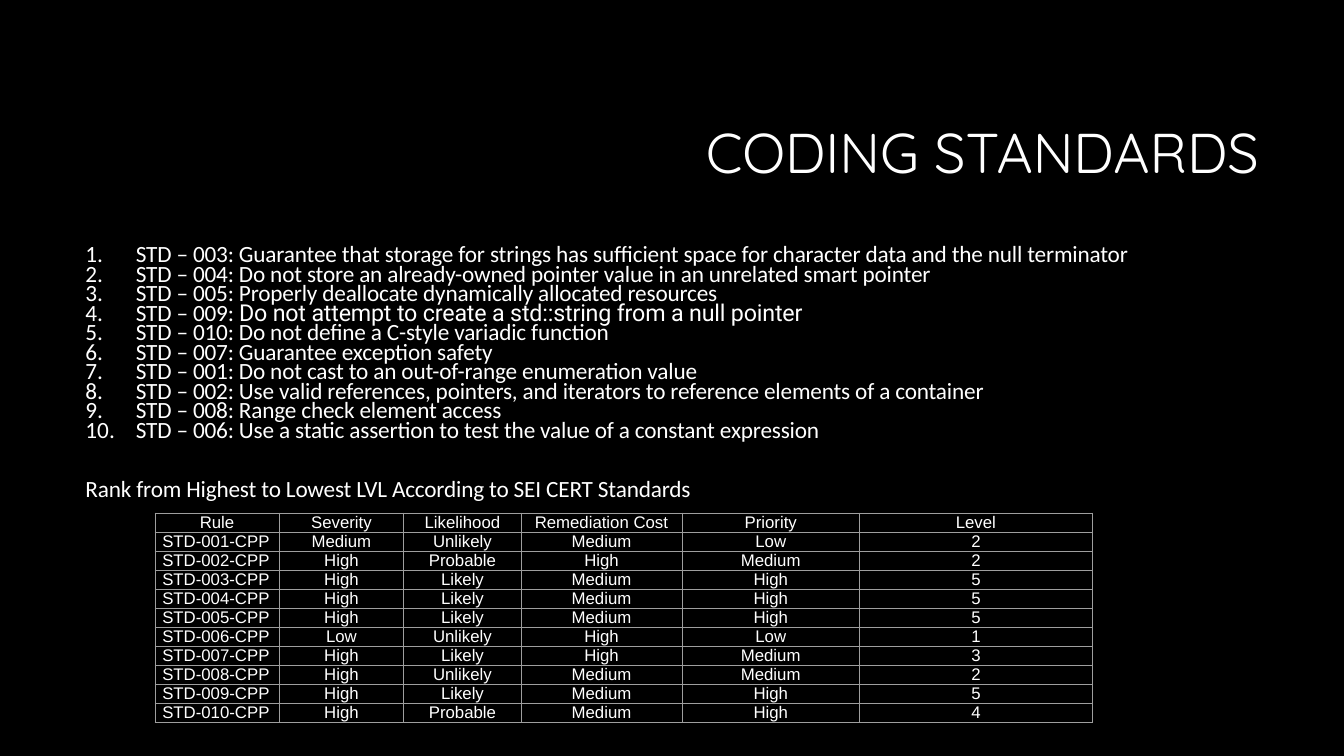
"""Build the coding standards slide: ranked rules above a table of their ratings."""
import dataclasses

import lxml.etree
import pptx
import pptx.dml.color
import pptx.enum.text
import pptx.oxml.ns
import pptx.util

Cm = pptx.util.Cm
Align = pptx.enum.text.PP_ALIGN
qn = pptx.oxml.ns.qn


@dataclasses.dataclass(frozen=True)
class Theme:
    background: str = "000000"
    text: str = "FFFFFF"
    border: str = "9E9E9E"
    title_size: float = 40
    rule_size: float = 16.6
    table_size: float = 12
    title_font: str = "Quicksand"
    rule_font: str = "Calibri"
    accent_font: str = "Roboto"
    table_font: str = "Arial"


theme = Theme()


def write(paragraph, text, *, font, size, align=Align.LEFT, line=1.0, before=0, tracking=0):
    paragraph.alignment = align
    paragraph.line_spacing = line
    paragraph.space_before = pptx.util.Pt(before)
    run = paragraph.add_run()
    run.text = text
    run.font.name = font
    run.font.size = pptx.util.Pt(size)
    run.font.bold = False
    run.font.color.rgb = pptx.dml.color.RGBColor.from_string(theme.text)
    run._r.get_or_add_rPr().set("spc", str(tracking))


def add_color(parent, tag, color):
    holder = lxml.etree.SubElement(parent, qn(tag))
    lxml.etree.SubElement(holder, qn("a:srgbClr")).set("val", color)


deck = pptx.Presentation()
deck.slide_width, deck.slide_height = Cm(33.87), Cm(19.05)
slide = deck.slides.add_slide(deck.slide_layouts[1])
slide.background.fill.solid()
slide.background.fill.fore_color.rgb = pptx.dml.color.RGBColor.from_string(theme.background)

heading, ranking = slide.placeholders
heading.left, heading.top, heading.width, heading.height = Cm(8.05), Cm(2.13), Cm(23.93), Cm(3.58)
ranking.left, ranking.top, ranking.width, ranking.height = Cm(1.9), Cm(6.1), Cm(30.05), Cm(6.83)
for placeholder, anchor in (
    (heading, pptx.enum.text.MSO_ANCHOR.MIDDLE),
    (ranking, pptx.enum.text.MSO_ANCHOR.TOP),
):
    placeholder.text_frame.vertical_anchor = anchor
    placeholder.text_frame.auto_size = pptx.enum.text.MSO_AUTO_SIZE.NONE
    placeholder.text_frame.word_wrap = True

write(heading.text_frame.paragraphs[0], "CODING STANDARDS", font=theme.title_font,
      size=theme.title_size, align=Align.RIGHT, line=0.9)

ranked_rules = [
    ("003", "Guarantee that storage for strings has sufficient space for character data and the null terminator"),
    ("004", "Do not store an already-owned pointer value in an unrelated smart pointer"),
    ("005", "Properly deallocate dynamically allocated resources"),
    ("009", "Do not attempt to create a std::string from a null pointer"),
    ("010", "Do not define a C-style variadic function"),
    ("007", "Guarantee exception safety"),
    ("001", "Do not cast to an out-of-range enumeration value"),
    ("002", "Use valid references, pointers, and iterators to reference elements of a container"),
    ("008", "Range check element access"),
    ("006", "Use a static assertion to test the value of a constant expression"),
]
rule_format = {"size": theme.rule_size, "line": 0.7, "tracking": -10}
rule_indent = Cm(1.27)
for position, (number, guidance) in enumerate(ranked_rules):
    rule = ranking.text_frame.add_paragraph() if position else ranking.text_frame.paragraphs[0]
    guidance_font = theme.accent_font if number == "009" else theme.rule_font
    write(rule, f"STD – {number}: ", font=theme.rule_font, **rule_format)
    write(rule, guidance, font=guidance_font, **rule_format)
    numbering = rule._p.get_or_add_pPr()
    numbering.set("marL", str(rule_indent))
    numbering.set("indent", str(-rule_indent))
    add_color(numbering, "a:buClr", theme.text)
    lxml.etree.SubElement(numbering, qn("a:buFont")).set("typeface", "+mj-lt")
    lxml.etree.SubElement(numbering, qn("a:buAutoNum")).set("type", "arabicPeriod")

rank_note = ranking.text_frame.add_paragraph()
write(rank_note, "Rank from Highest to Lowest LVL According to SEI CERT Standards",
      font=theme.rule_font, before=28, **rule_format)
note_indent = rank_note._p.get_or_add_pPr()
note_indent.set("marL", "0")
note_indent.set("indent", "0")
lxml.etree.SubElement(note_indent, qn("a:buNone"))

ratings = [
    ("Rule", "Severity", "Likelihood", "Remediation Cost", "Priority", "Level"),
    ("STD-001-CPP", "Medium", "Unlikely", "Medium", "Low", "2"),
    ("STD-002-CPP", "High", "Probable", "High", "Medium", "2"),
    ("STD-003-CPP", "High", "Likely", "Medium", "High", "5"),
    ("STD-004-CPP", "High", "Likely", "Medium", "High", "5"),
    ("STD-005-CPP", "High", "Likely", "Medium", "High", "5"),
    ("STD-006-CPP", "Low", "Unlikely", "High", "Low", "1"),
    ("STD-007-CPP", "High", "Likely", "High", "Medium", "3"),
    ("STD-008-CPP", "High", "Unlikely", "Medium", "Medium", "2"),
    ("STD-009-CPP", "High", "Likely", "Medium", "High", "5"),
    ("STD-010-CPP", "High", "Probable", "Medium", "High", "4"),
]
column_widths = [3.12, 3.15, 2.95, 4.06, 4.47, 5.87]
row_height = 0.48
rating_table = slide.shapes.add_table(
    len(ratings), len(column_widths), Cm(3.91), Cm(12.93),
    Cm(sum(column_widths)), Cm(row_height * len(ratings))).table
rating_table.first_row = rating_table.horz_banding = False
for column, width in zip(rating_table.columns, column_widths):
    column.width = Cm(width)
for row_index, rating in enumerate(ratings):
    rating_table.rows[row_index].height = Cm(row_height)
    for column_index, value in enumerate(rating):
        cell = rating_table.cell(row_index, column_index)
        cell.margin_left = cell.margin_right = Cm(0.18)
        cell.margin_top = cell.margin_bottom = 0
        is_rule_name = row_index > 0 and column_index == 0
        write(cell.text_frame.paragraphs[0], value, font=theme.table_font, size=theme.table_size,
              align=Align.LEFT if is_rule_name else Align.CENTER)
        cell_format = cell._tc.get_or_add_tcPr()
        for side in ("a:lnL", "a:lnR", "a:lnT", "a:lnB"):
            border = lxml.etree.SubElement(cell_format, qn(side))
            border.set("w", str(pptx.util.Pt(0.75)))
            add_color(border, "a:solidFill", theme.border)
        cell.fill.background()

deck.save("out.pptx")
